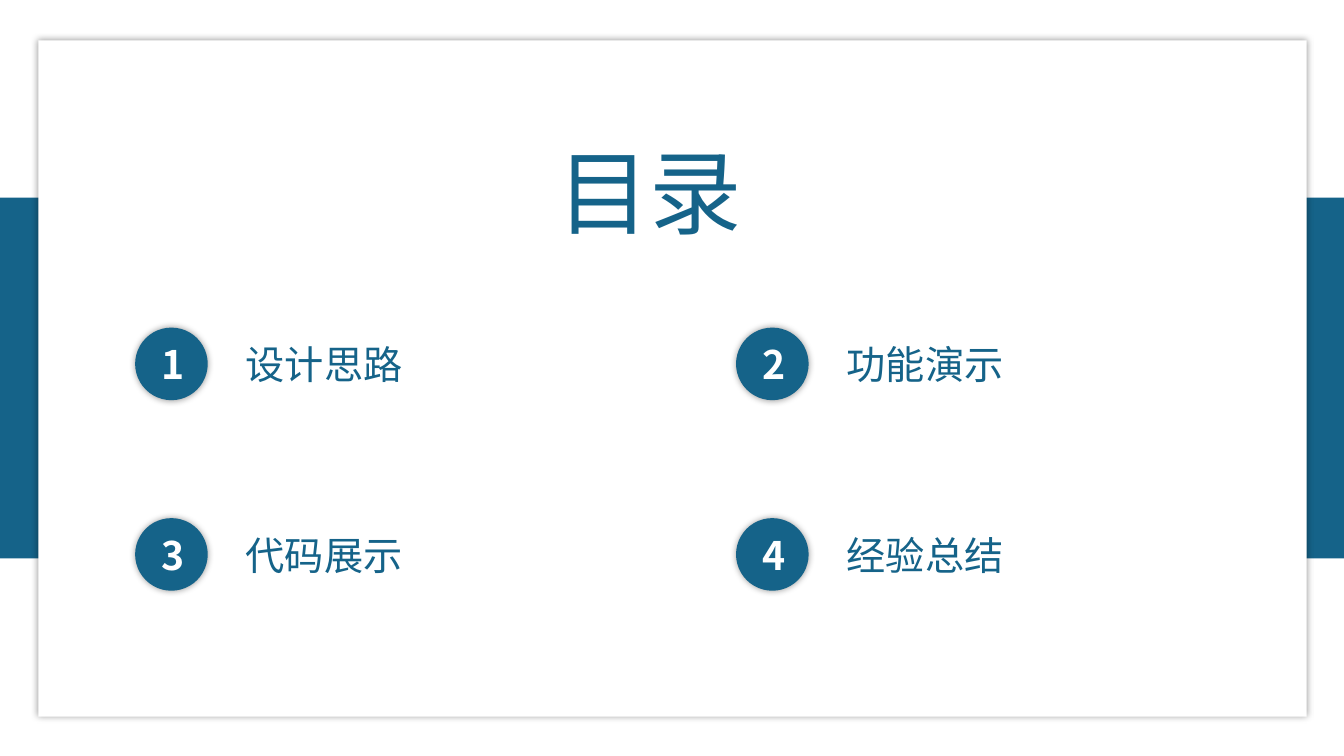
from lxml import etree
from pptx import Presentation
from pptx.dml.color import RGBColor
from pptx.enum.shapes import MSO_SHAPE
from pptx.enum.text import MSO_ANCHOR, MSO_AUTO_SIZE, PP_ALIGN
from pptx.oxml import parse_xml
from pptx.oxml.ns import nsdecls, qn
from pptx.util import Inches, Pt

RECTANGLE, OVAL = MSO_SHAPE.RECTANGLE, MSO_SHAPE.OVAL
TOP = MSO_ANCHOR.TOP
GROW = MSO_AUTO_SIZE.SHAPE_TO_FIT_TEXT
LEFT, JUSTIFY = PP_ALIGN.LEFT, PP_ALIGN.JUSTIFY
TITLE_ONLY = 5

FONT = "Noto Sans CJK SC"
COLORS = {"blue": "156389", "white": "FFFFFF", "shadow": "000000"}
SLIDE_WIDTH, SLIDE_HEIGHT = 13.33, 7.5


class AgendaPage:
    """Holds the style and the current slide."""

    def __init__(self, deck):
        self.page = deck.slides.add_slide(deck.slide_layouts[TITLE_ONLY])

    def shape(self, kind, left, top, width, height, color, shadow=False):
        shape = self.page.shapes.add_shape(
            kind, Inches(left), Inches(top), Inches(width), Inches(height))
        shape.fill.solid()
        shape.fill.fore_color.rgb = RGBColor.from_string(COLORS[color])
        shape.line.fill.background()
        shape.shadow.inherit = False
        if shadow:
            effects = shape._element.spPr.find(qn("a:effectLst"))
            effects.append(parse_xml(
                f'<a:outerShdw {nsdecls("a")} blurRad="{Pt(5)}" dist="0" '
                f'dir="0" algn="ctr" rotWithShape="0">'
                f'<a:srgbClr val="{COLORS["shadow"]}"><a:alpha val="40000"/>'
                f'</a:srgbClr></a:outerShdw>'))

    def fill_text(self, box, text, size, color, bold=False, align=LEFT):
        frame = box.text_frame
        frame.text = text
        frame.word_wrap = True
        frame.auto_size = GROW
        frame.vertical_anchor = TOP
        para = frame.paragraphs[0]
        para.alignment = align
        font = para.font
        font.size, font.bold, font.name = Pt(size), bold, FONT
        font.color.rgb = RGBColor.from_string(COLORS[color])
        # East Asian glyphs take their own typeface
        properties = para._p.pPr.find(qn("a:defRPr"))
        etree.SubElement(properties, qn("a:ea"), typeface=FONT)

    def text(self, left, top, width, height, text, size, color, bold=False):
        box = self.page.shapes.add_textbox(
            Inches(left), Inches(top), Inches(width), Inches(height))
        self.fill_text(box, text, size, color, bold)

    def title(self, left, top, width, height, text, size):
        box = self.page.shapes.title
        box.left, box.top = Inches(left), Inches(top)
        box.width, box.height = Inches(width), Inches(height)
        self.fill_text(box, text, size, "blue", align=JUSTIFY)
        # Bring the title in front of the panel
        self.page.shapes._spTree.append(box._element)

    def item(self, left, top, number, label):
        self.shape(OVAL, left, top, 0.72, 0.72, "blue", shadow=True)
        self.text(left + 0.16, top + 0.08, 0.4, 0.57, str(number), 28,
                  "white", bold=True)
        self.text(left + 1, top + 0.08, 2.94, 0.57, label, 28, "blue")


def main():
    deck = Presentation()
    deck.slide_width = Inches(SLIDE_WIDTH)
    deck.slide_height = Inches(SLIDE_HEIGHT)
    agenda = AgendaPage(deck)

    # Band and panel
    agenda.shape(RECTANGLE, 0, 1.96, SLIDE_WIDTH, 3.58, "blue")
    agenda.shape(RECTANGLE, 0.38, 0.4, 12.58, 6.71, "white", shadow=True)

    # Title
    agenda.title(5.43, 1.29, 2.47, 1.21, "目录", 66)

    # Agenda items, two per row
    labels = ["设计思路", "功能演示", "代码展示", "经验总结"]
    for index, label in enumerate(labels):
        row, column = divmod(index, 2)
        agenda.item(1.34 + 5.96 * column, 3.25 + 1.89 * row, index + 1, label)

    deck.save("out.pptx")


if __name__ == "__main__":
    main()
